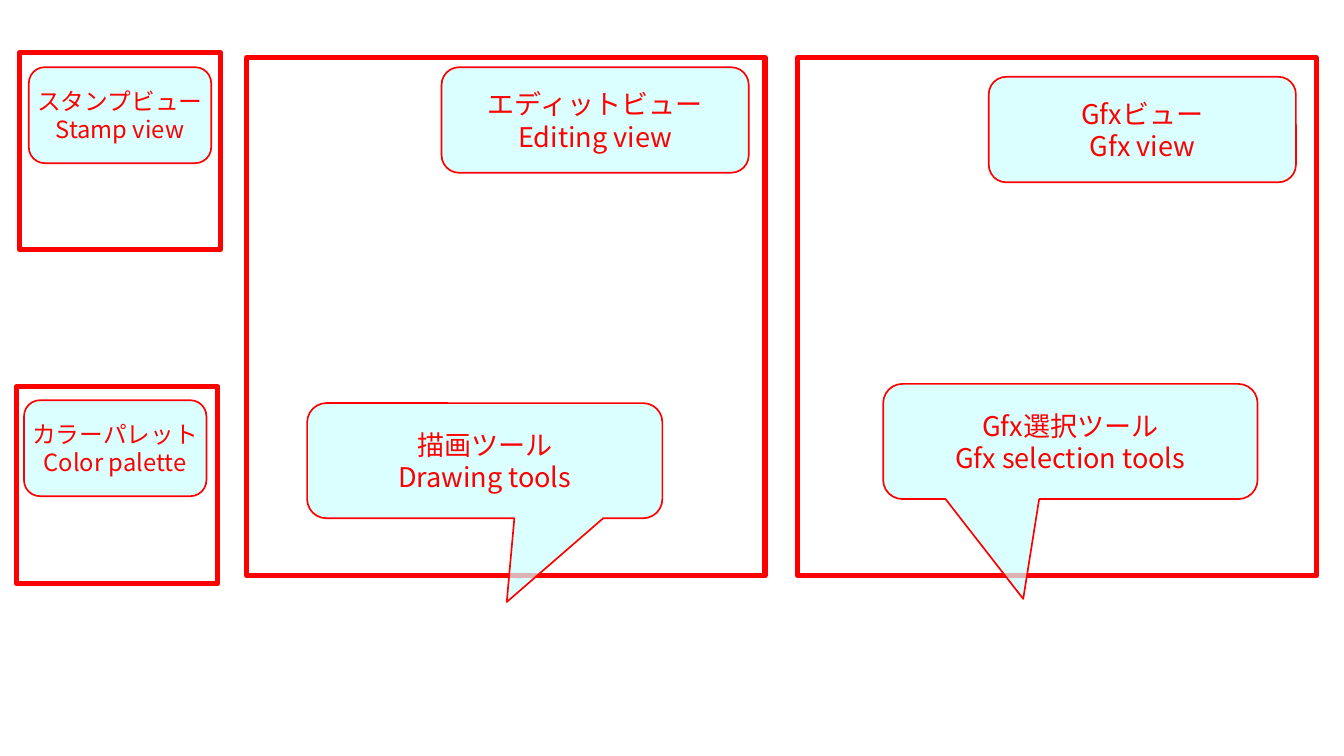
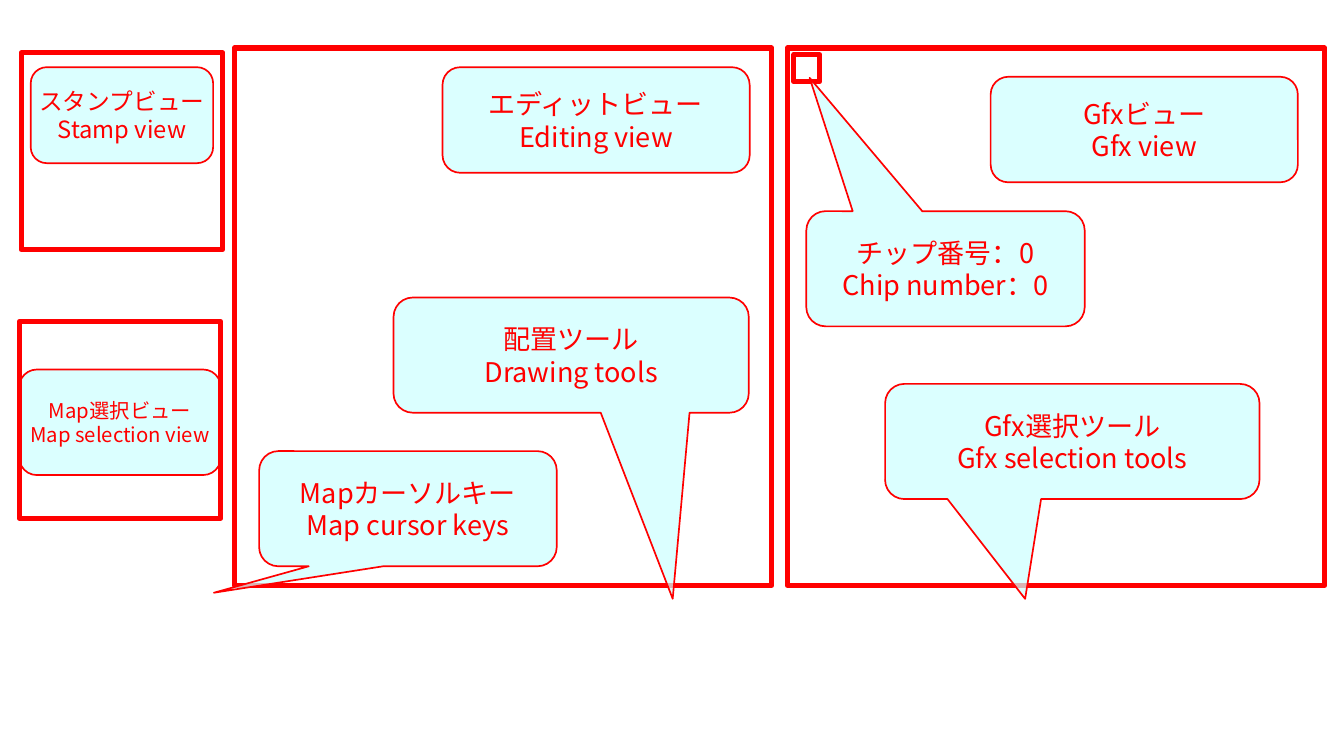
from typing import NamedTuple

from lxml.etree import SubElement
from pptx import Presentation
from pptx.dml.color import RGBColor
from pptx.enum.shapes import MSO_SHAPE as SHAPE
from pptx.enum.text import MSO_ANCHOR as ANCHOR, PP_ALIGN as ALIGN
from pptx.oxml.ns import qn
from pptx.util import Inches, Pt

COLORS = {"outline": "FF0000", "text": "FF0000", "bubble": "CCFFFF"}
FONT = "Noto Sans CJK JP"
SLIDE_WIDTH, SLIDE_HEIGHT = 11.02, 6.2
COLUMNS = 140
CELL = SLIDE_WIDTH / COLUMNS  # square grid cell, in inches
BUBBLE_OPACITY = 70
CORNER = 0.167

SMALL_VIEW = (21, 20.5)
SMALL_LABEL = (19, 10)
LARGE_LABEL = (32, 11)
GFX_TOOLS = (39, 12)
DRAWING_TOOLS = (37, 12)
GFX_TOOLS_TIP = (-0.126, 1.367)


class Box(NamedTuple):
    """A rectangle in grid cells."""
    left: float
    top: float
    width: float
    height: float

    def inside(self, offset, size):
        return Box(self.left + offset[0], self.top + offset[1], *size)


def rgb(name):
    return RGBColor.from_string(COLORS[name])


def add_outlined(slide, preset, box, weight):
    shape = slide.shapes.add_shape(preset, *(Inches(cells * CELL) for cells in box))
    shape.shadow.inherit = False
    shape.fill.background()
    shape.line.color.rgb = rgb("outline")
    shape.line.width = Pt(weight)
    return shape


def write_text(shape, lines, size=16, color="text", align=ALIGN.CENTER):
    frame = shape.text_frame
    frame.word_wrap = False
    frame.vertical_anchor = ANCHOR.MIDDLE
    frame.margin_left = frame.margin_right = Inches(0.11)
    frame.margin_top = frame.margin_bottom = Inches(0.06)
    for index, line in enumerate(lines):
        paragraph = frame.add_paragraph() if index else frame.paragraphs[0]
        paragraph.alignment = align
        run = paragraph.add_run()
        run.text = line
        run.font.size = Pt(size)
        run.font.name = FONT
        run.font.color.rgb = rgb(color)
        SubElement(run.font._element, qn("a:ea"), typeface=FONT)


def add_frame(slide, box):
    add_outlined(slide, SHAPE.RECTANGLE, box, 3)


def add_bubble(slide, box, lines, size=16, tip=None):
    """Rounded label; tip is the pointer's end as a share of the box, from its centre."""
    preset = SHAPE.ROUNDED_RECTANGULAR_CALLOUT if tip else SHAPE.ROUNDED_RECTANGLE
    bubble = add_outlined(slide, preset, box, 1)
    for index, value in enumerate((*(tip or ()), CORNER)):
        bubble.adjustments[index] = value
    bubble.fill.solid()
    bubble.fill.fore_color.rgb = rgb("bubble")
    fill_color = bubble.fill._xPr.find(qn("a:solidFill"))[0]
    SubElement(fill_color, qn("a:alpha"), val=str(BUBBLE_OPACITY * 1000))
    write_text(bubble, lines, size=size)


def add_view(slide, box, offset, label_size, lines, size=16):
    """Framed region of the screen with its name bubble at an offset inside it."""
    add_bubble(slide, box.inside(offset, label_size), lines, size=size)
    add_frame(slide, box)


def add_stamp_view(slide, left):
    add_view(slide, Box(left, 5.5, *SMALL_VIEW), (1, 1.5), SMALL_LABEL,
             ("スタンプビュー", "Stamp view"), size=14)


def add_editing_view(slide, box, offset):
    add_view(slide, box, offset, LARGE_LABEL, ("エディットビュー", "Editing view"))


def add_gfx_view(slide, box, offset, tools_offset):
    add_view(slide, box, offset, LARGE_LABEL, ("Gfxビュー", "Gfx view"))
    add_bubble(slide, box.inside(tools_offset, GFX_TOOLS),
               ("Gfx選択ツール", "Gfx selection tools"), tip=GFX_TOOLS_TIP)


def build_drawing_screen(slide):
    editing = Box(25.7, 6, 54, 54)
    add_editing_view(slide, editing, (20.3, 1))
    add_bubble(slide, editing.inside((6.3, 36), DRAWING_TOOLS),
               ("描画ツール", "Drawing tools"), tip=(0.062, 1.227))
    add_gfx_view(slide, Box(83.1, 6, 54, 54), (19.9, 2), (8.9, 34))
    add_stamp_view(slide, 2)
    add_view(slide, Box(1.7, 40.3, *SMALL_VIEW), (0.8, 1.4), SMALL_LABEL,
             ("カラーパレット", "Color palette"), size=14)


def build_map_screen(slide):
    editing = Box(24.4, 5, 56, 56)
    gfx = Box(82, 5, 56, 56)
    add_editing_view(slide, editing, (21.7, 2))
    add_bubble(slide, editing.inside((16.6, 26), DRAWING_TOOLS),
               ("配置ツール", "Drawing tools"), tip=(0.286, 2.116))
    add_gfx_view(slide, gfx, (21.2, 3), (10.2, 35))
    add_stamp_view(slide, 2.2)
    add_view(slide, Box(2, 33.5, *SMALL_VIEW), (0, 5), (21, 11),
             ("Map選択ビュー", "Map selection view"), size=12)
    add_bubble(slide, editing.inside((2.6, 42), (31, 12)),
               ("Mapカーソルキー", "Map cursor keys"), tip=(-0.652, 0.73))
    add_frame(slide, gfx.inside((0.7, 0.7), (2.7, 2.8)))
    add_bubble(slide, gfx.inside((2, 17), (29, 12)),
               ("チップ番号：0", "Chip number：0"), tip=(-0.488, -1.658))


def main():
    deck = Presentation()
    deck.slide_width, deck.slide_height = Inches(SLIDE_WIDTH), Inches(SLIDE_HEIGHT)
    blank = deck.slide_layouts[6]
    for build in (build_drawing_screen, build_map_screen):
        build(deck.slides.add_slide(blank))
    deck.save("out.pptx")


if __name__ == "__main__":
    main()
